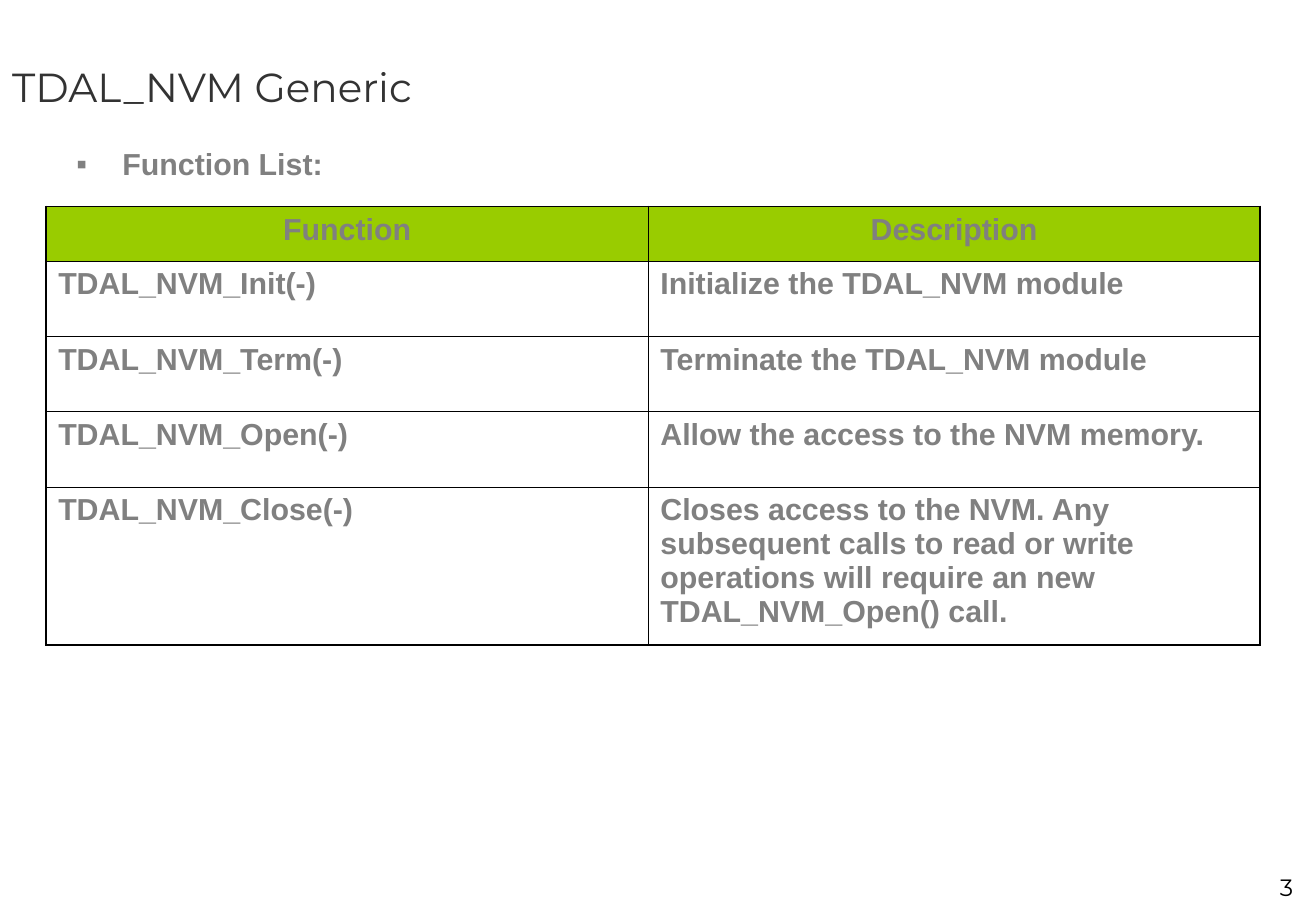
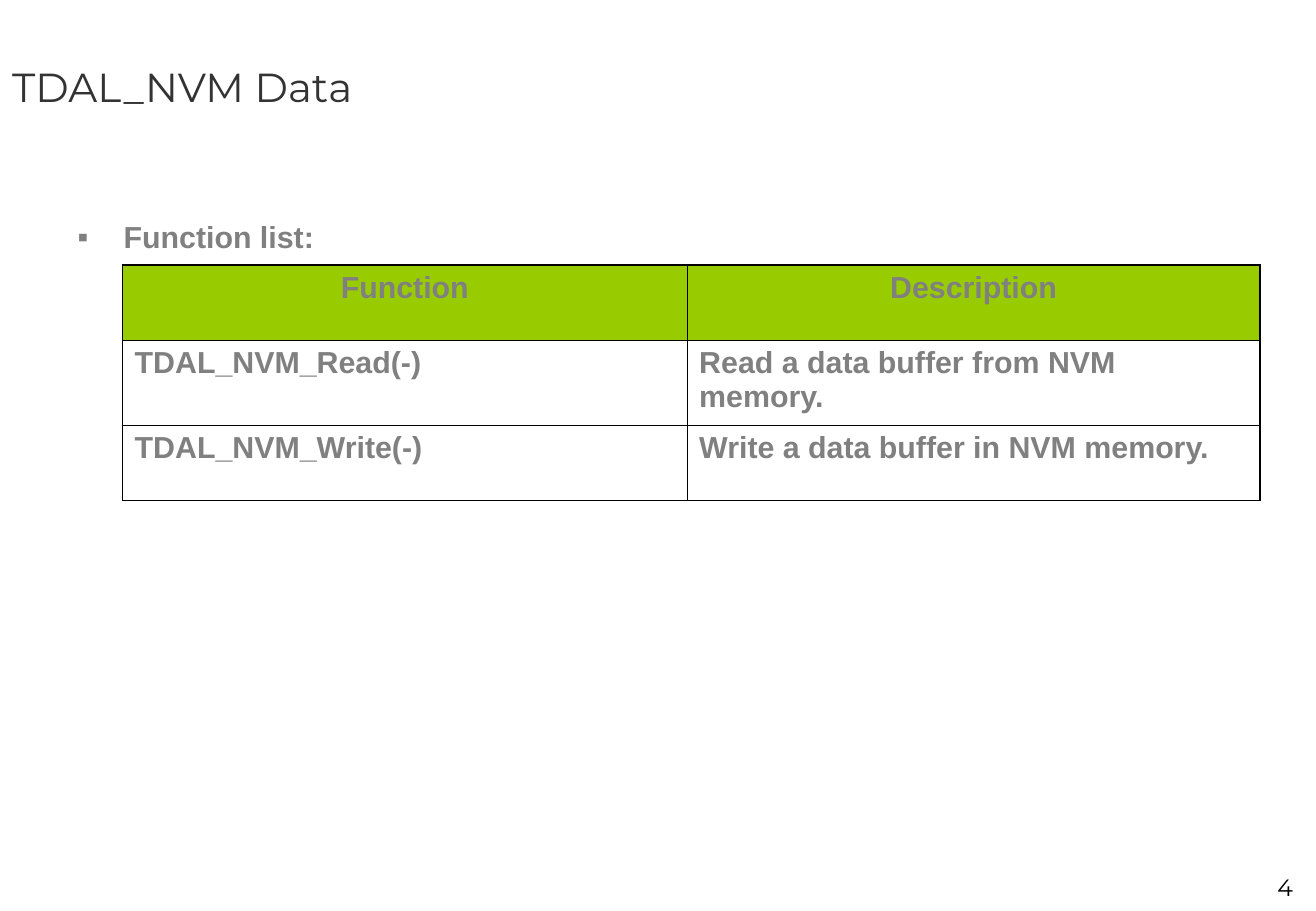
from dataclasses import dataclass

from lxml.etree import SubElement
from pptx import Presentation
from pptx.dml.color import RGBColor as RGB
from pptx.enum.text import MSO_ANCHOR as Anchor, PP_ALIGN as Align
from pptx.oxml.ns import qn
from pptx.util import Inches, Pt

HEADER = ("Function", "Description")
PAGES = [
    dict(
        number=3,
        title="TDAL_NVM Generic",
        lead="Function List:",
        lead_at=(0.53, 1.15),
        table_at=(0.38, 1.7),
        columns=(4.96, 5.04),
        heights=(0.45, 0.62, 0.62, 0.62, 1.3),
        functions=[
            ("TDAL_NVM_Init(-)", "Initialize the TDAL_NVM module"),
            ("TDAL_NVM_Term(-)", "Terminate the TDAL_NVM module"),
            ("TDAL_NVM_Open(-)", "Allow the access to the NVM memory."),
            ("TDAL_NVM_Close(-)",
             "Closes access to the NVM. Any subsequent calls to read or write "
             "operations will require an new TDAL_NVM_Open() call."),
        ],
    ),
    dict(
        number=4,
        title="TDAL_NVM Data",
        lead="Function list:",
        lead_at=(0.54, 1.75),
        table_at=(1.01, 2.18),
        columns=(4.65, 4.72),
        heights=(0.62, 0.7, 0.62),
        functions=[
            ("TDAL_NVM_Read(-)", "Read a data buffer from NVM memory."),
            ("TDAL_NVM_Write(-)", "Write a data buffer in NVM memory."),
        ],
    ),
]


@dataclass(frozen=True)
class Theme:
    width: float = 10.84
    height: float = 7.5
    title_font: str = "Montserrat"
    body_font: str = "Arial"
    title_size: float = 24
    body_size: float = 18
    number_size: float = 14
    title_color: str = "333333"
    body_color: str = "808080"
    number_color: str = "000000"
    header_fill: str = "99CC00"
    border_color: str = "000000"
    outer_border: float = 1.08
    inner_border: float = 0.45
    bullet: str = "▪"
    bullet_indent: float = 0.38


THEME = Theme()


def write(frame, text, font, size, color, bold=False, align=Align.LEFT):
    frame.text = text
    frame.word_wrap = True
    para = frame.paragraphs[0]
    para.alignment = align
    for span in para.runs:
        span.font.name = font
        span.font.size = Pt(size)
        span.font.bold = bold
        span.font.color.rgb = RGB.from_string(color)


def write_body(frame, text, align=Align.LEFT):
    write(frame, text, THEME.body_font, THEME.body_size, THEME.body_color,
          bold=True, align=align)


def add_bullet(para):
    props = para._p.get_or_add_pPr()
    indent = Inches(THEME.bullet_indent)
    props.set("marL", str(indent))
    props.set("indent", str(-indent))
    color = SubElement(props, qn("a:buClr"))
    SubElement(color, qn("a:srgbClr"), val=THEME.body_color)
    SubElement(props, qn("a:buFont"), typeface=THEME.body_font)
    SubElement(props, qn("a:buChar"), char=THEME.bullet)


def add_borders(cell, outer_sides):
    """Rule all four sides, thicker on those at the edge of the table."""
    props = cell._tc.get_or_add_tcPr()
    for side in "LRTB":
        weight = THEME.outer_border if side in outer_sides else THEME.inner_border
        line = SubElement(props, qn(f"a:ln{side}"), w=str(Pt(weight)))
        fill = SubElement(line, qn("a:solidFill"))
        SubElement(fill, qn("a:srgbClr"), val=THEME.border_color)


def add_title(page, text):
    title = page.shapes.title
    title.left = title.top = 0
    title.width, title.height = Inches(THEME.width), Inches(1.42)
    title.text_frame.vertical_anchor = Anchor.MIDDLE
    write(title.text_frame, text, THEME.title_font, THEME.title_size,
          THEME.title_color)


def add_lead(page, text, at):
    box = page.shapes.add_textbox(*map(Inches, at), Inches(4.79), Inches(0.4))
    write_body(box.text_frame, text)
    add_bullet(box.text_frame.paragraphs[0])


def add_function_table(page, rows, at, columns, heights):
    table = page.shapes.add_table(
        len(rows), len(columns), *map(Inches, at),
        Inches(sum(columns)), Inches(sum(heights))).table
    table.first_row = table.horz_banding = False
    for column, width in zip(table.columns, columns):
        column.width = Inches(width)
    for row, height in zip(table.rows, heights):
        row.height = Inches(height)
    last_row, last_column = len(rows) - 1, len(columns) - 1
    for r, texts in enumerate(rows):
        for c, text in enumerate(texts):
            cell = table.cell(r, c)
            edges = {"L": c == 0, "R": c == last_column,
                     "T": r == 0, "B": r == last_row}
            add_borders(cell, [side for side, outer in edges.items() if outer])
            if r == 0:
                cell.fill.solid()
                cell.fill.fore_color.rgb = RGB.from_string(THEME.header_fill)
            else:
                cell.fill.background()
            write_body(cell.text_frame, text, Align.CENTER if r == 0 else Align.LEFT)


def add_page_number(page, number):
    box = page.shapes.add_textbox(
        Inches(9.59), Inches(7.14), Inches(1.16), Inches(0.33))
    write(box.text_frame, str(number), THEME.title_font, THEME.number_size,
          THEME.number_color, align=Align.RIGHT)


def main():
    deck = Presentation()
    deck.slide_width, deck.slide_height = Inches(THEME.width), Inches(THEME.height)
    title_only = deck.slide_layouts[5]
    for content in PAGES:
        page = deck.slides.add_slide(title_only)
        add_title(page, content["title"])
        add_lead(page, content["lead"], content["lead_at"])
        add_function_table(page, [HEADER, *content["functions"]],
                           content["table_at"], content["columns"],
                           content["heights"])
        add_page_number(page, content["number"])
    deck.save("out.pptx")


if __name__ == "__main__":
    main()
